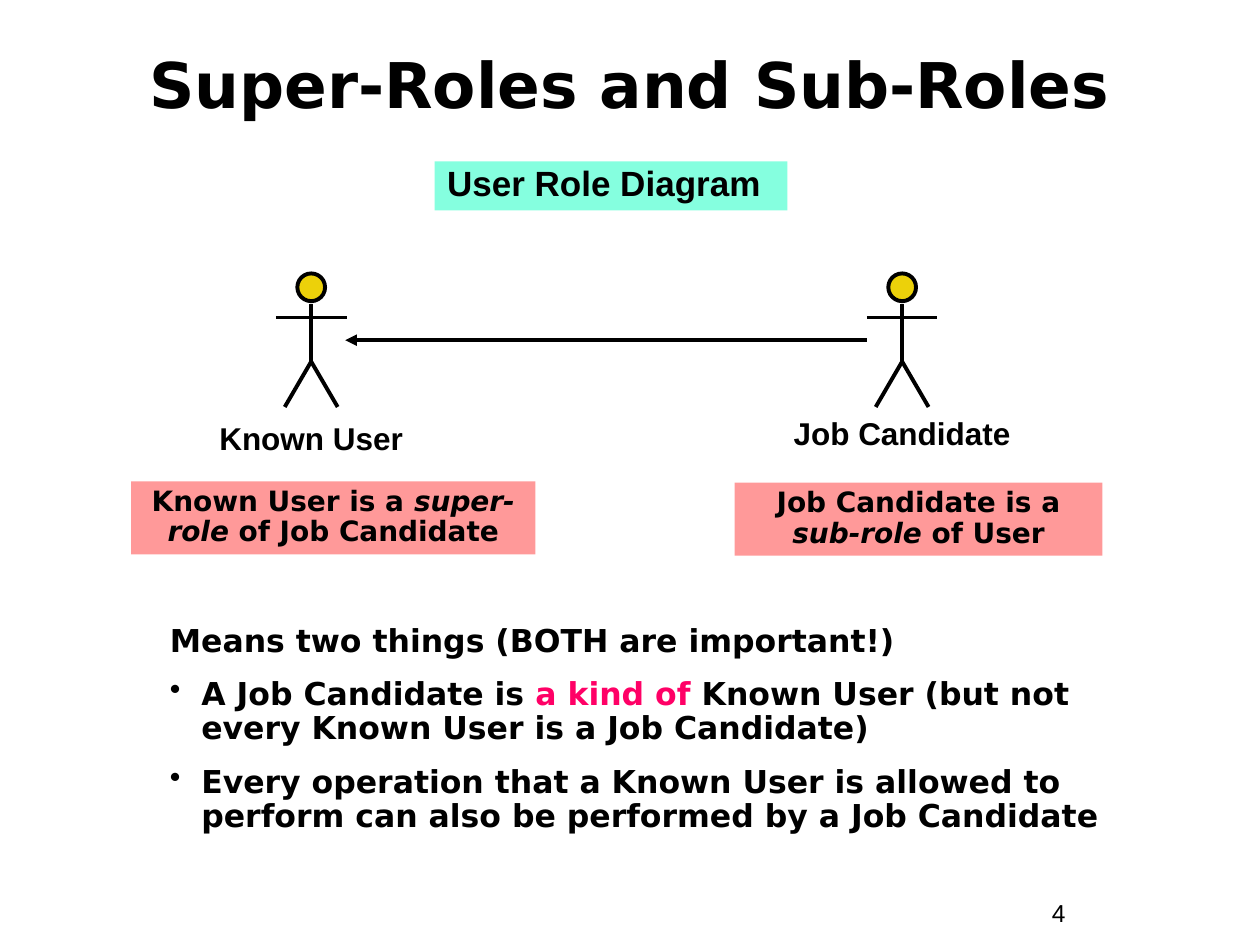
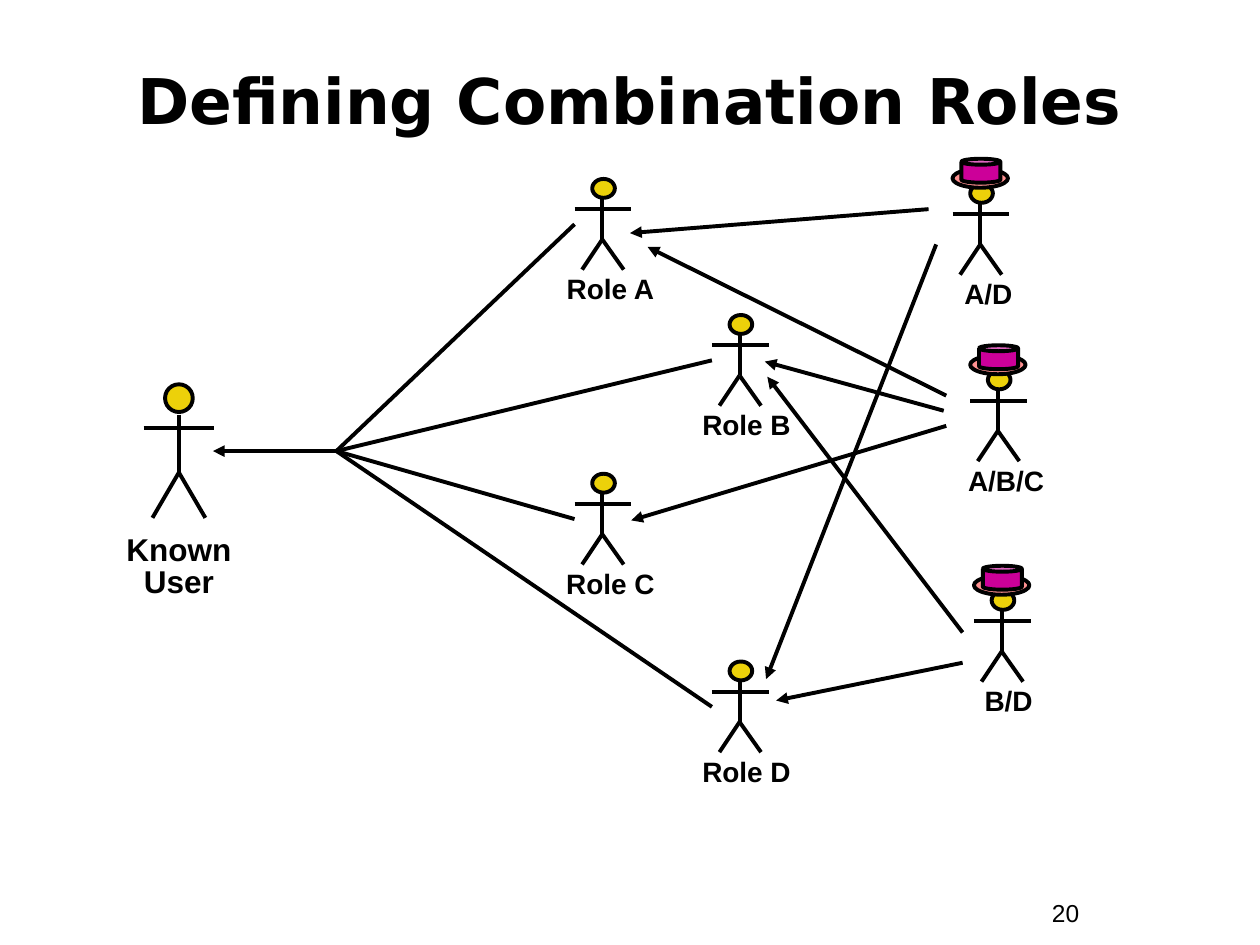
from dataclasses import dataclass
from typing import Any, NamedTuple

from lxml import etree
from pptx import Presentation
from pptx.dml.color import RGBColor
from pptx.enum.shapes import MSO_CONNECTOR, MSO_SHAPE
from pptx.enum.text import MSO_ANCHOR, PP_ALIGN
from pptx.oxml.ns import qn
from pptx.slide import Slide
from pptx.util import Pt

OVAL, CAN, RECT = MSO_SHAPE.OVAL, MSO_SHAPE.CAN, MSO_SHAPE.RECTANGLE
STRAIGHT = MSO_CONNECTOR.STRAIGHT
LEFT, CENTER = PP_ALIGN.LEFT, PP_ALIGN.CENTER
TOP, MIDDLE = MSO_ANCHOR.TOP, MSO_ANCHOR.MIDDLE

PX = 9144
WIDTH, HEIGHT = 1000, 750
STROKE = Pt(2.25)
COLORS = {
    "ink": "000000", "head": "ECD10A", "brim": "FF9191", "hat": "CC0099",
    "mint": "85FFDF", "rose": "FF9999", "pink": "FF0066",
}
FONTS = {
    "title": {"name": "DejaVu Sans", "size": Pt(36), "bold": True},
    "body": {"name": "DejaVu Sans", "size": Pt(18), "bold": True},
    "note": {"name": "DejaVu Sans", "size": Pt(16), "bold": True},
    "banner": {"name": "Arial", "size": Pt(20), "bold": True},
    "user": {"name": "Arial", "size": Pt(18), "bold": True},
    "role": {"name": "Arial", "size": Pt(16), "bold": True},
    "page": {"name": "Arial", "size": Pt(14), "bold": False},
}


class Box(NamedTuple):
    """A frame in px."""
    left: int
    top: int
    width: int
    height: int


class Span(NamedTuple):
    """A stretch of text in one look."""
    text: str
    color: str = "ink"
    italic: bool = False


class Wire(NamedTuple):
    """A line from one point to another, with or without an arrowhead."""
    x1: int
    y1: int
    x2: int
    y2: int
    arrow: bool = False


class Size(NamedTuple):
    """The scale of a figure and the look of its label."""
    across: float
    down: float
    font: str
    tall: int


@dataclass
class Actor:
    """A stick figure and its label."""
    label: str
    left: int
    top: int
    size: Size
    width: int = 117
    drop: int = 73
    hat: bool = False


@dataclass
class Para:
    """A paragraph and its spacing."""
    spans: list[Span]
    bullet: bool = False
    before: float = 0


BIG = Size(1, 1, "user", 36)
SMALL = Size(0.8, 0.68, "role", 33)
LIMBS = [
    Wire(28, 24, 28, 70), Wire(7, 106, 28, 70),
    Wire(49, 106, 28, 70), Wire(0, 35, 56, 35),
]

PAIR = [
    Actor("Job Candidate", 688, 217, BIG, 200, 111),
    Actor("Known User", 219, 217, BIG, 190, 115),
]
NOTES = [
    (Box(104, 382, 321, 58), [Span("Known User is a "), Span("super-role", italic=True),
                              Span(" of Job Candidate")]),
    (Box(583, 383, 292, 58), [Span("Job Candidate is a "), Span("sub-role", italic=True),
                              Span(" of User")]),
]
POINTS = [
    Para([Span("Means two things (BOTH are important!)")]),
    Para([Span("A Job Candidate is "), Span("a kind of ", "pink"),
          Span("Known User (but not every Known User is a Job Candidate)")], True, 11.2),
    Para([Span("Every operation that a Known User is allowed to perform "
               "can also be performed by a Job Candidate")], True, 11.2),
]

ROLES = [
    Actor("Role A", 456, 142, SMALL),
    Actor("Role B", 565, 250, SMALL),
    Actor("Role C", 456, 376, SMALL),
    Actor("Role D", 565, 525, SMALL),
]
MIXES = [
    Actor("A/D", 756, 146, SMALL, hat=True),
    Actor("A/B/C", 770, 294, SMALL, hat=True),
    Actor("B/D", 773, 469, SMALL, hat=True),
]
KNOWN = Actor("Known User", 114, 305, BIG, 150, 115)
HUB = (267, 358)
ARROWS = [
    Wire(751, 314, 514, 196, True), Wire(749, 326, 607, 287, True),
    Wire(751, 338, 501, 413, True), Wire(764, 526, 616, 556, True),
    Wire(764, 502, 609, 299, True), Wire(737, 166, 500, 185, True),
    Wire(743, 194, 608, 539, True), Wire(*HUB, 169, 358, True),
]


def paint(color: str) -> RGBColor:
    """Look up a named color."""
    return RGBColor.from_string(COLORS[color])


def scale(*sizes: float) -> list[int]:
    """Turn px into EMU."""
    return [round(size) * PX for size in sizes]


def add_form(shapes: Any, kind: Any, box: Box, fill: str, edge: bool = True) -> Any:
    """Draw a filled preset shape."""
    form = shapes.add_shape(kind, *scale(*box))
    form.shadow.inherit = False
    form.fill.solid()
    form.fill.fore_color.rgb = paint(fill)
    if edge:
        form.line.color.rgb = paint("ink")
        form.line.width = STROKE
    else:
        form.line.fill.background()
    return form


def add_wire(shapes: Any, wire: Wire) -> None:
    """Draw a straight line or arrow."""
    line = shapes.add_connector(STRAIGHT, *scale(*wire[:4]))
    line.line.color.rgb = paint("ink")
    line.line.width = STROKE
    props = line.element.spPr
    if wire.arrow:
        etree.SubElement(props.find(qn("a:ln")), qn("a:tailEnd"), type="triangle")
    etree.SubElement(props, qn("a:effectLst"))


def add_bullet(para: Any) -> None:
    """Give a paragraph a round bullet."""
    props = para._p.get_or_add_pPr()
    tint = etree.SubElement(props, qn("a:buClr"))
    etree.SubElement(tint, qn("a:srgbClr"), val=COLORS["ink"])
    etree.SubElement(props, qn("a:buChar"), char="•")


def write(form: Any, paras: list[Para], font: str, align: Any = LEFT,
          spacing: float = 1.0, anchor: Any = TOP, indent: int = 0) -> None:
    """Fill a shape with styled paragraphs."""
    frame = form.text_frame
    for key, value in {"word_wrap": True, "vertical_anchor": anchor}.items():
        setattr(frame, key, value)
    for index, item in enumerate(paras):
        para = frame.add_paragraph() if index else frame.paragraphs[0]
        if item.bullet:
            add_bullet(para)
        if indent:
            props = para._p.get_or_add_pPr()
            props.set("marL", str(indent * PX))
            props.set("indent", str(-indent * PX))
        looks = {"alignment": align, "line_spacing": spacing,
                 "space_before": Pt(item.before)}
        for key, value in looks.items():
            setattr(para, key, value)
        for span in item.spans:
            run = para.add_run()
            run.text = span.text
            for key, value in {**FONTS[font], "italic": span.italic}.items():
                setattr(run.font, key, value)
            run.font.color.rgb = paint(span.color)


def add_text(slide: Slide, box: Box, text: str, font: str, **looks: Any) -> None:
    """Place a line of plain text."""
    form = slide.shapes.add_textbox(*scale(*box))
    write(form, [Para([Span(text)])], font, **looks)


def add_actor(slide: Slide, actor: Actor) -> None:
    """Draw a stick figure, its hat if any, and its label."""
    left, top, size = actor.left, actor.top, actor.size
    shapes = slide.shapes.add_group_shape().shapes
    head = Box(left + 17 * size.across, top, 22 * size.across, 22 * size.down)
    add_form(shapes, OVAL, head, "head")
    for limb in LIMBS:
        add_wire(shapes, Wire(left + limb.x1 * size.across, top + limb.y1 * size.down,
                              left + limb.x2 * size.across, top + limb.y2 * size.down))
    if actor.hat:
        add_form(shapes, OVAL, Box(left, top - 12, 44, 15), "brim")
        add_form(shapes, CAN, Box(left + 7, top - 20, 31, 19), "hat")
    spot = Box(left + 28 - actor.width / 2, top + actor.drop, actor.width, size.tall)
    add_text(slide, spot, actor.label, size.font, align=CENTER, spacing=0.85)


def add_slide(deck: Any, title: str, box: Box, page: int) -> Slide:
    """Start a slide with its title and page number."""
    slide = deck.slides.add_slide(deck.slide_layouts[6])
    add_text(slide, Box(825, 708, 92, 34), str(page), "page")
    add_text(slide, box, title, "title", align=CENTER, anchor=MIDDLE)
    return slide


def draw_pair(deck: Any) -> None:
    """Build the slide on super-roles and sub-roles."""
    slide = add_slide(deck, "Super-Roles and Sub-Roles", Box(33, 25, 933, 83), 4)
    for actor in PAIR:
        add_actor(slide, actor)
    add_wire(slide.shapes, Wire(688, 270, 274, 270, True))
    points = slide.shapes.add_textbox(*scale(125, 491, 783, 177))
    write(points, POINTS, "body", spacing=0.9, indent=25)
    banner = add_form(slide.shapes, RECT, Box(345, 128, 280, 39), "mint", False)
    write(banner, [Para([Span("User Role Diagram")])], "banner", spacing=0.85)
    for box, spans in NOTES:
        note = add_form(slide.shapes, RECT, box, "rose", False)
        write(note, [Para(spans)], "note", align=CENTER, spacing=0.9)


def draw_mix(deck: Any) -> None:
    """Build the slide on combination roles."""
    slide = add_slide(deck, "Defining Combination Roles", Box(33, 33, 933, 92), 20)
    for actor in [*ROLES, *MIXES, KNOWN]:
        add_actor(slide, actor)
    for role in ROLES:
        add_wire(slide.shapes, Wire(role.left, role.top + 36, *HUB))
    for arrow in ARROWS:
        add_wire(slide.shapes, arrow)


def main() -> None:
    """Build and save the deck."""
    deck = Presentation()
    deck.slide_width, deck.slide_height = scale(WIDTH, HEIGHT)
    draw_pair(deck)
    draw_mix(deck)
    deck.save("out.pptx")


if __name__ == "__main__":
    main()
